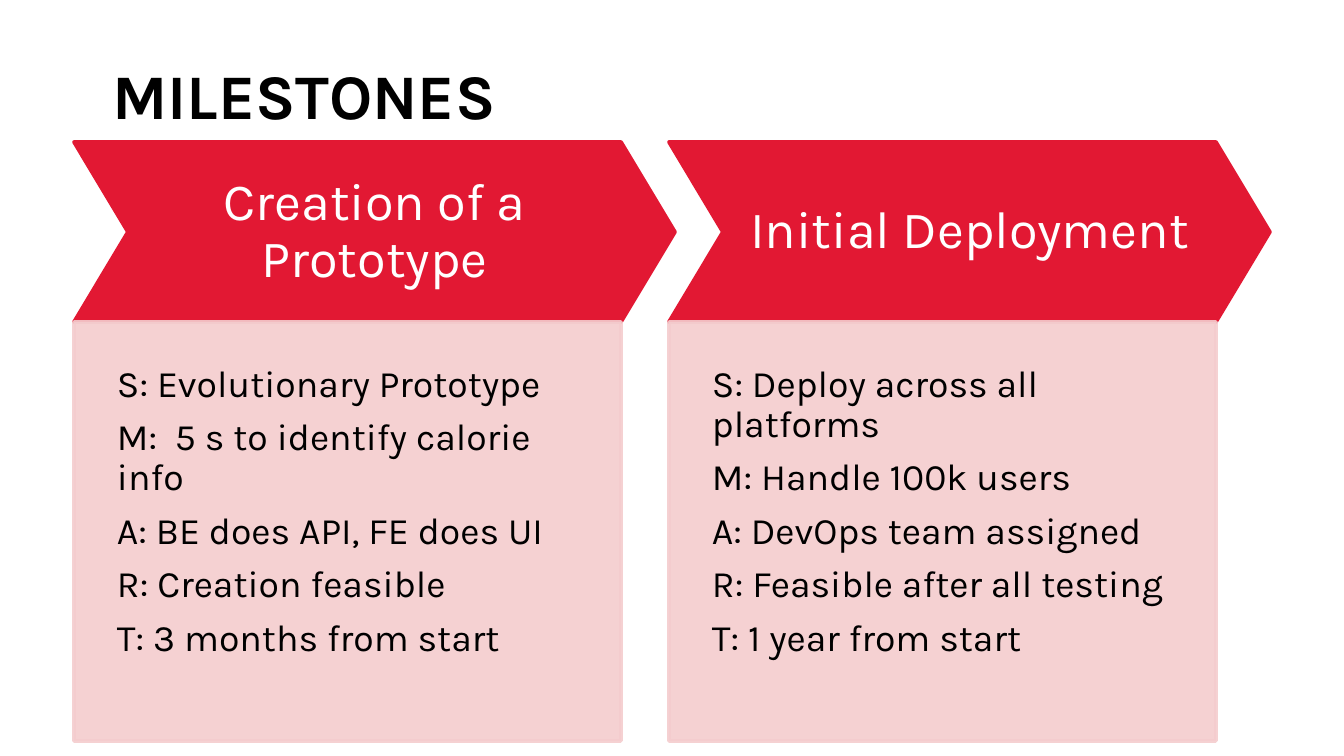
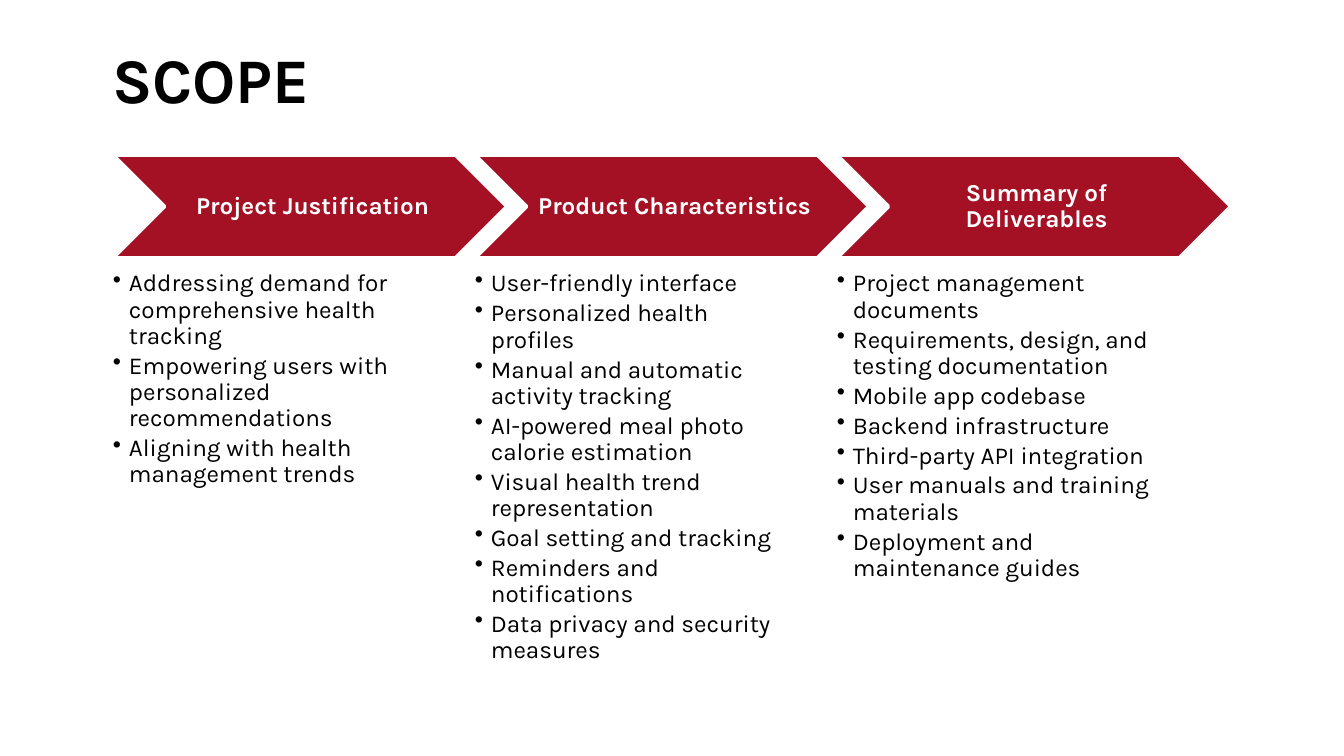
from lxml import etree
from pptx import Presentation
from pptx.dml.color import RGBColor
from pptx.enum.shapes import MSO_SHAPE
from pptx.enum.text import MSO_ANCHOR, MSO_AUTO_SIZE, PP_ALIGN
from pptx.oxml.ns import qn
from pptx.util import Pt

CHEVRON, RECTANGLE = MSO_SHAPE.CHEVRON, MSO_SHAPE.RECTANGLE
TOP, MIDDLE = MSO_ANCHOR.TOP, MSO_ANCHOR.MIDDLE
LEFT, CENTER = PP_ALIGN.LEFT, PP_ALIGN.CENTER
NO_AUTOFIT = MSO_AUTO_SIZE.NONE

MILESTONES = [
    ("Creation of a Prototype", [
        "S: Evolutionary Prototype",
        "M:  5 s to identify calorie info",
        "A: BE does API, FE does UI",
        "R: Creation feasible",
        "T: 3 months from start",
    ]),
    ("Initial Deployment", [
        "S: Deploy across all platforms",
        "M: Handle 100k users",
        "A: DevOps team assigned",
        "R: Feasible after all testing",
        "T: 1 year from start",
    ]),
]
SCOPE = [
    ("Project Justification", [
        "Addressing demand for comprehensive health tracking",
        "Empowering users with personalized recommendations",
        "Aligning with health management trends",
    ]),
    ("Product Characteristics", [
        "User-friendly interface",
        "Personalized health profiles",
        "Manual and automatic activity tracking",
        "AI-powered meal photo calorie estimation",
        "Visual health trend representation",
        "Goal setting and tracking",
        "Reminders and notifications",
        "Data privacy and security measures",
    ]),
    ("Summary of Deliverables", [
        "Project management documents",
        "Requirements, design, and testing documentation",
        "Mobile app codebase",
        "Backend infrastructure",
        "Third-party API integration",
        "User manuals and training materials",
        "Deployment and maintenance guides",
    ]),
]

FONT = "Karla"
BLACK, WHITE = "000000", "FFFFFF"
RED, DARK_RED, PINK = "E21833", "A41124", "F4CCCE"
SLIDE_WIDTH, SLIDE_HEIGHT = 1344, 756
TITLE_LEFT, TITLE_WIDTH, TITLE_HEIGHT = 112, 1121, 126
BULLET_INDENT = 16


def px(length):
    return round(length * 914400 / 134.4)


def box(*lengths):
    return [px(length) for length in lengths]


def rgb(color):
    return RGBColor.from_string(color)


def add_bullet(paragraph):
    paragraph.level = 1
    properties = paragraph._p.get_or_add_pPr()
    properties.set("marL", str(px(BULLET_INDENT)))
    properties.set("indent", str(-px(BULLET_INDENT)))
    bullet_color = etree.SubElement(properties, qn("a:buClr"))
    etree.SubElement(bullet_color, qn("a:srgbClr"), val=BLACK)
    etree.SubElement(properties, qn("a:buChar"), char="•")


def write(frame, lines, size, color=BLACK, bold=False, align=LEFT, anchor=TOP,
          insets=(0, 0, 0, 0), spacing=0.9, after=0.35, bulleted=False):
    frame.word_wrap = True
    frame.auto_size = NO_AUTOFIT
    frame.vertical_anchor = anchor
    (frame.margin_left, frame.margin_top,
     frame.margin_right, frame.margin_bottom) = box(*insets)
    frame.text = "\n".join(lines)
    for paragraph in frame.paragraphs:
        if bulleted:
            add_bullet(paragraph)
        paragraph.alignment = align
        paragraph.line_spacing = spacing
        paragraph.space_after = Pt(size * after)
        paragraph.font.name = FONT
        paragraph.font.size = Pt(size)
        paragraph.font.bold = bold
        paragraph.font.color.rgb = rgb(color)


def add_filled(slide, preset, bounds, fill, line):
    shape = slide.shapes.add_shape(preset, *box(*bounds))
    shape.shadow.inherit = False
    shape.fill.solid()
    shape.fill.fore_color.rgb = rgb(fill)
    shape.line.color.rgb = rgb(line)
    shape.line.width = Pt(2)
    return shape


def set_opacity(shape, percent):
    for color in shape._element.spPr.iter(qn("a:srgbClr")):
        etree.SubElement(color, qn("a:alpha"), val=str(percent * 1000))


def add_titled_slide(deck, title, top):
    slide = deck.slides.add_slide(deck.slide_layouts.get_by_name("Title Only"))
    heading = slide.shapes.title
    heading.left, heading.top, heading.width, heading.height = box(
        TITLE_LEFT, top, TITLE_WIDTH, TITLE_HEIGHT)
    write(heading.text_frame, [title], 34, bold=True, anchor=MIDDLE,
          spacing=1.0, after=0)
    return slide


def build_milestones(deck):
    slide = add_titled_slide(deck, "MILESTONES", 31)
    left, top, pitch, width, height = 74, 142, 595, 601, 180
    point = 0.3
    panel_width = width - point * height
    for index, (milestone, criteria) in enumerate(MILESTONES):
        x = left + index * pitch
        arrow = add_filled(slide, CHEVRON, (x, top, width, height), RED, RED)
        arrow.adjustments[0] = point
        write(arrow.text_frame, [milestone], 28, WHITE, align=CENTER,
              anchor=MIDDLE, insets=(23, 23, 23, 23))
        panel = add_filled(slide, RECTANGLE,
                           (x, top + height, panel_width, 419), PINK, PINK)
        set_opacity(panel, 90)
        write(panel.text_frame, criteria, 20, insets=(43, 43, 43, 86))


def build_scope(deck):
    slide = add_titled_slide(deck, "SCOPE", 15)
    left, top, pitch, width, height = 113, 155, 362, 394, 103
    for index, (area, items) in enumerate(SCOPE):
        x = left + index * pitch
        arrow = add_filled(slide, CHEVRON, (x, top, width, height),
                           DARK_RED, WHITE)
        write(arrow.text_frame, [area], 13, WHITE, bold=True, align=CENTER,
              anchor=MIDDLE, insets=(8, 3, 3, 3))
        details = slide.shapes.add_textbox(*box(x, 271, 316, 363))
        write(details.text_frame, items, 13, after=0.15, bulleted=True)


def main():
    deck = Presentation()
    deck.slide_width, deck.slide_height = box(SLIDE_WIDTH, SLIDE_HEIGHT)
    build_milestones(deck)
    build_scope(deck)
    deck.save("out.pptx")


if __name__ == "__main__":
    main()
